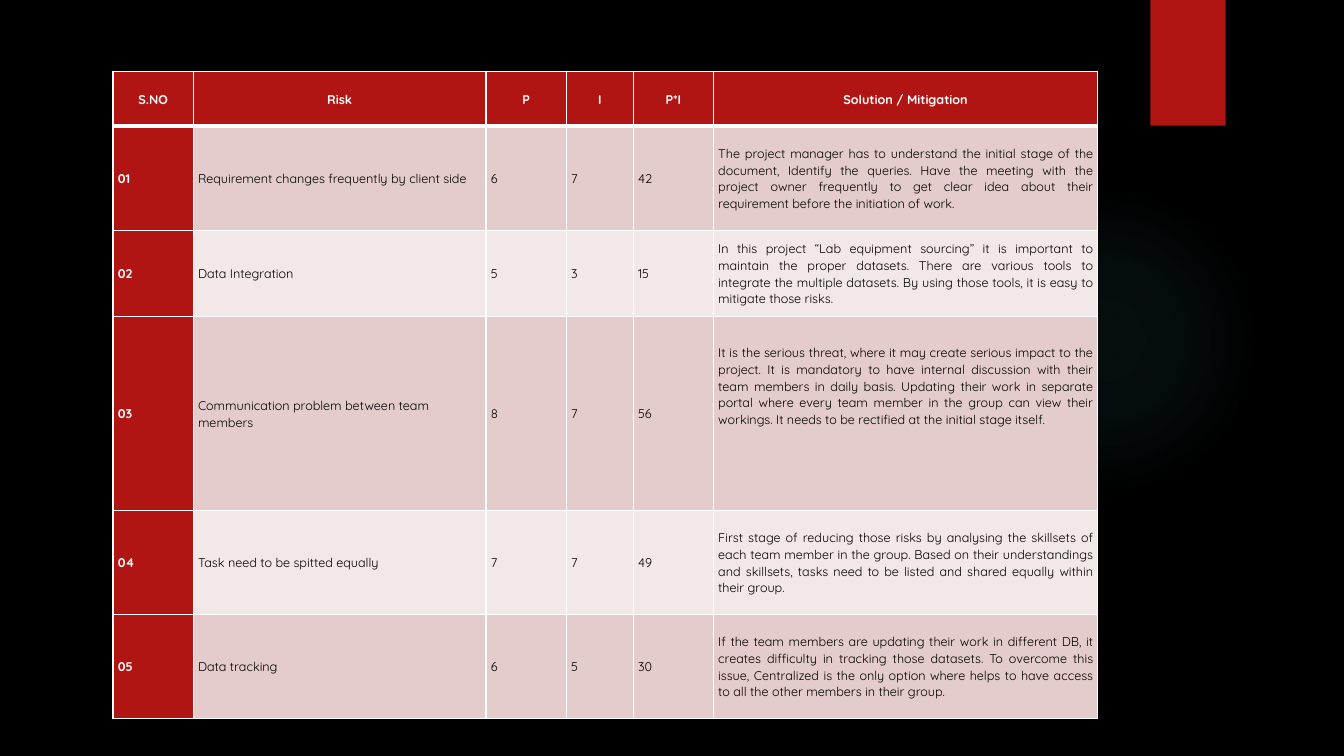
"""Build a risk register slide with a mitigation table."""
from lxml import etree
from pptx import Presentation
from pptx import util as u
from pptx.dml.color import RGBColor
from pptx.enum import shapes, text
from pptx.oxml import ns

FONT = "Quicksand"
RED, WHITE, BLACK, TEAL = "B01513", "FFFFFF", "000000", "50B9C1"
BANDS = ("E4CCCC", "F2E8E7")
GLOW_STOPS = ((0, 7), (36, 6), (69, 0))
COLUMN_WIDTHS = (2.02, 7.38, 2.02, 1.69, 2.02, 9.68)
ROW_HEIGHTS = (1.37, 2.62, 2.18, 4.88, 2.62, 2.62)
HEADINGS = ("S.NO", "Risk", "P", "I", "P*I", "Solution / Mitigation")
RISKS = (
    ("01", "Requirement changes frequently by client side", "6", "7", "42",
     "The project manager has to understand the initial stage of the document, "
     "Identify the queries. Have the meeting with the project owner frequently to get "
     "clear idea about their requirement before the initiation of work."),
    ("02", "Data Integration", "5", "3", "15",
     "In this project “Lab equipment sourcing” it is important to maintain the proper "
     "datasets. There are various tools to integrate the multiple datasets. By using "
     "those tools, it is easy to mitigate those risks."),
    ("03", "Communication problem between team members", "8", "7", "56",
     "It is the serious threat, where it may create serious impact to the project. It is "
     "mandatory to have internal discussion with their team members in daily basis. "
     "Updating their work in separate portal where every team member in the group can "
     "view their workings. It needs to be rectified at the initial stage itself."),
    ("04", "Task need to be spitted equally", "7", "7", "49",
     "First stage of reducing those risks by analysing the skillsets of each team member "
     "in the group. Based on their understandings and skillsets, tasks need to be listed "
     "and shared equally within their group."),
    ("05", "Data tracking", "6", "5", "30",
     "If the team members are updating their work in different DB, it creates difficulty "
     "in tracking those datasets. To overcome this issue, Centralized is the only option "
     "where helps to have access to all the other members in their group."),
)


def paint(fill, color):
    fill.solid()
    fill.fore_color.rgb = RGBColor.from_string(color)


def write(frame, words, color=BLACK, bold=False, align=text.PP_ALIGN.LEFT):
    paragraph = frame.paragraphs[0]
    paragraph.alignment = align
    paragraph.line_spacing = 1.07
    paragraph.space_after = u.Pt(8)
    run = paragraph.add_run()
    run.text = words
    run.font.name = FONT
    run.font.size = u.Pt(9)
    run.font.bold = bold
    run.font.color.rgb = RGBColor.from_string(color)


def draw_borders(cell, bottom):
    properties = cell._tc.get_or_add_tcPr()
    widths = {"a:lnL": 1, "a:lnR": 1, "a:lnT": 1, "a:lnB": bottom}
    for position, (side, width) in enumerate(widths.items()):
        line = etree.Element(ns.qn(side), w=str(u.Pt(width)))
        solid = etree.SubElement(line, ns.qn("a:solidFill"))
        etree.SubElement(solid, ns.qn("a:srgbClr"), val=WHITE)
        properties.insert(position, line)


class RiskSlide:
    """Hold the slide and its style."""

    def __init__(self, deck):
        self.slide = deck.slides.add_slide(deck.slide_layouts[6])
        paint(self.slide.background.fill, BLACK)

    def shape(self, preset, left, top, width, height, color):
        shape = self.slide.shapes.add_shape(
            preset, u.Cm(left), u.Cm(top), u.Cm(width), u.Cm(height))
        shape.shadow.inherit = False
        shape.line.fill.background()
        paint(shape.fill, color)
        return shape

    def glow(self, left, top, diameter, color):
        circle = self.shape(shapes.MSO_SHAPE.OVAL, left, top, diameter, diameter, color)
        gradient = etree.Element(ns.qn("a:gradFill"), rotWithShape="1")
        stops = etree.SubElement(gradient, ns.qn("a:gsLst"))
        for position, opacity in GLOW_STOPS:
            stop = etree.SubElement(stops, ns.qn("a:gs"), pos=str(position * 1000))
            tint = etree.SubElement(stop, ns.qn("a:srgbClr"), val=color)
            etree.SubElement(tint, ns.qn("a:alpha"), val=str(opacity * 1000))
        radial = etree.SubElement(gradient, ns.qn("a:path"), {"path": "circle"})
        etree.SubElement(radial, ns.qn("a:fillToRect"),
                         dict.fromkeys("ltrb", "50000"))
        properties = circle._element.spPr
        properties.replace(properties.find(ns.qn("a:solidFill")), gradient)

    def cell(self, cell, words, fill, border_bottom=1, **style):
        cell.vertical_anchor = text.MSO_ANCHOR.MIDDLE
        cell.margin_left = cell.margin_right = u.Cm(0.12)
        cell.margin_top = cell.margin_bottom = 0
        paint(cell.fill, fill)
        draw_borders(cell, border_bottom)
        write(cell.text_frame, words, **style)

    def register(self, left, top):
        table = self.slide.shapes.add_table(
            len(ROW_HEIGHTS), len(COLUMN_WIDTHS), u.Cm(left), u.Cm(top),
            u.Cm(sum(COLUMN_WIDTHS)), u.Cm(sum(ROW_HEIGHTS))).table
        for column, width in zip(table.columns, COLUMN_WIDTHS):
            column.width = u.Cm(width)
        for row, height in zip(table.rows, ROW_HEIGHTS):
            row.height = u.Cm(height)
        for column, heading in enumerate(HEADINGS):
            self.cell(table.cell(0, column), heading, RED, border_bottom=3,
                      color=WHITE, bold=True, align=text.PP_ALIGN.CENTER)
        for row, (number, *details, solution) in enumerate(RISKS, 1):
            band = BANDS[(row - 1) % 2]
            self.cell(table.cell(row, 0), number, RED, color=WHITE, bold=True)
            for column, detail in enumerate(details, 1):
                self.cell(table.cell(row, column), detail, band)
            self.cell(table.cell(row, len(HEADINGS) - 1), solution, band,
                      align=text.PP_ALIGN.JUSTIFY)
        table.cell(3, len(HEADINGS) - 1).margin_bottom = u.Cm(1.4)


def main():
    deck = Presentation()
    deck.slide_width, deck.slide_height = u.Cm(33.87), u.Cm(19.05)
    risks = RiskSlide(deck)
    risks.glow(23.9, 4.65, 7.82, TEAL)
    risks.shape(shapes.MSO_SHAPE.RECTANGLE, 28.99, 0, 1.9, 3.17, RED)
    risks.register(2.85, 1.81)
    deck.save("out.pptx")


if __name__ == "__main__":
    main()
